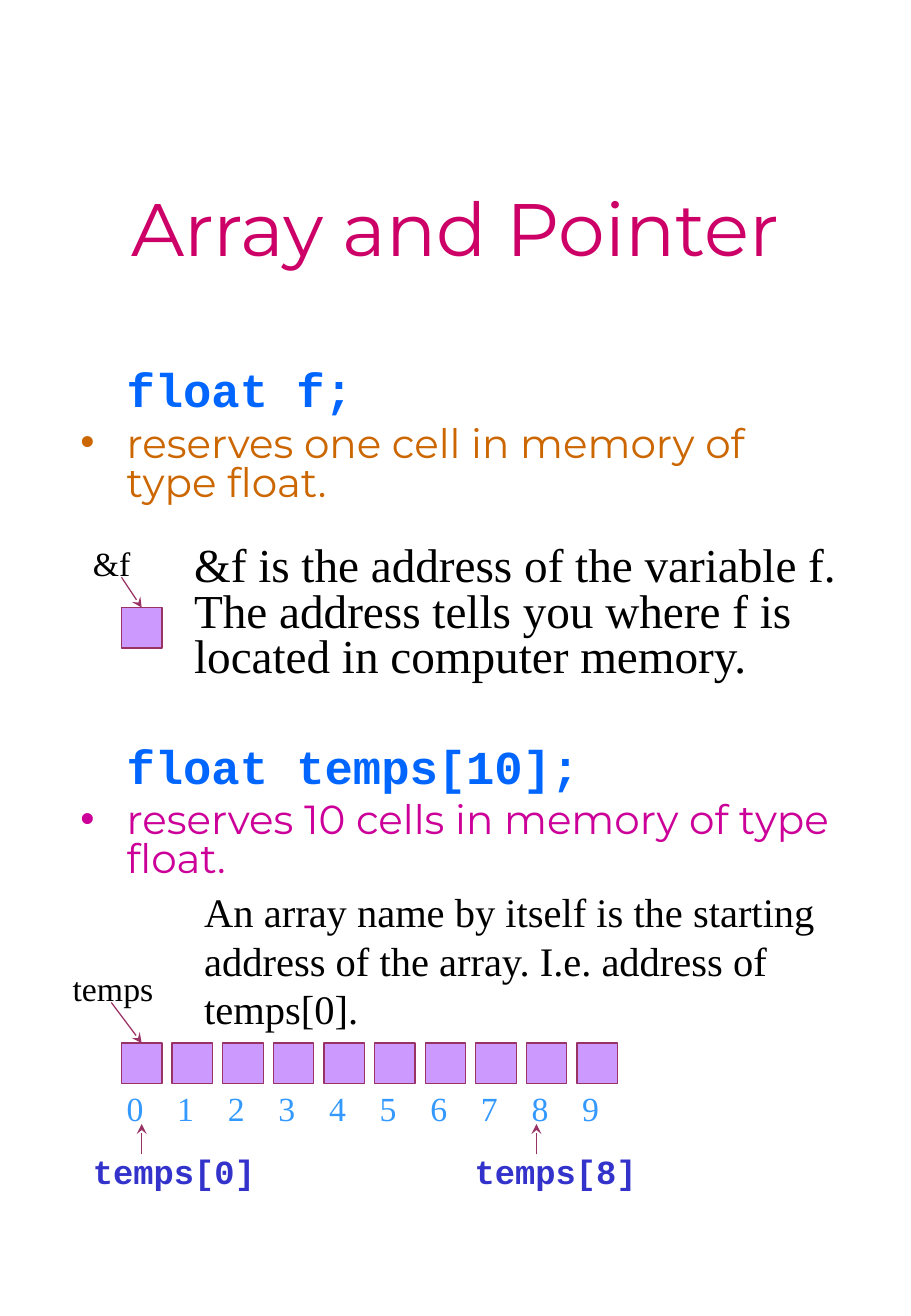
"""Build the slide on arrays and pointers with its memory cell diagrams."""
from lxml.etree import SubElement
from pptx import Presentation
from pptx.dml.color import RGBColor as Rgb
from pptx.enum.shapes import MSO_CONNECTOR as Line, MSO_SHAPE as Kind
from pptx.enum.text import MSO_ANCHOR as Anchor, MSO_AUTO_SIZE as Fit, PP_ALIGN as Align
from pptx.oxml.ns import qn
from pptx.util import Inches, Pt

theme = dict(
    sans="Montserrat", mono="Courier New", serif="Times New Roman",
    title="CC0066", code="0066FF", one="CC6600", ten="CC0099", text="000000",
    cell="CC99FF", edge="993366", index="3399FF", tag="3333CC",
    head=44, large=28, mid=24, small=20)

deck = Presentation()
deck.slide_width, deck.slide_height = Inches(7.5), Inches(10.83)
unit = deck.slide_width // 90
slide = deck.slides.add_slide(deck.slide_layouts[1])
shapes = slide.shapes


def style(para, face, size, color, bold=False):
    for run in para.runs:
        font = run.font
        font.name, font.size, font.bold = theme[face], Pt(theme[size]), bold
        font.color.rgb = Rgb.from_string(theme[color])


def arrow(x, y, end, top, cell=None):
    line = shapes.add_connector(Line.STRAIGHT, *(int(n * unit) for n in (x, y, end, top)))
    line.line.color.rgb = Rgb.from_string(theme["edge"])
    line.line.width = Pt(0.75)
    SubElement(line.line._get_or_add_ln(), qn("a:tailEnd"), type="stealth")
    SubElement(line._element.spPr, qn("a:effectLst"))
    if cell is not None:
        line.end_connect(cell, 0)


title, body = slide.placeholders
for box, top, high in ((title, 11.5, 21.75), (body, 36.1, 78)):
    box.left, box.top = int(6.75 * unit), int(top * unit)
    box.width, box.height = int(76.5 * unit), int(high * unit)
    box.text_frame.auto_size = Fit.NONE

title.text_frame.text = "Array and Pointer"
title.text_frame.vertical_anchor = Anchor.MIDDLE
title.text_frame.paragraphs[0].alignment = Align.CENTER
style(title.text_frame.paragraphs[0], "sans", "head", "title")

items = (
    ("float f;", "code", 0),
    ("reserves one cell in memory of type float.", "one", 6),
    ("float temps[10];", "code", 144),
    ("reserves 10 cells in memory of type float.", "ten", 6))
body.text_frame.text = "\n".join(item[0] for item in items)
for para, (words, color, gap) in zip(body.text_frame.paragraphs, items):
    para.line_spacing, para.space_before = 0.8, Pt(gap)
    props = para._p.get_or_add_pPr()
    props.set("marL", str(Inches(0.38)))
    if color == "code":
        props.set("indent", "0")
        SubElement(props, qn("a:buNone"))
        style(para, "mono", "large", color, True)
    else:
        props.set("indent", str(-Inches(0.38)))
        SubElement(SubElement(props, qn("a:buClr")), qn("a:srgbClr"), val=theme[color])
        SubElement(props, qn("a:buFont"), typeface="Arial")
        SubElement(props, qn("a:buChar"), char="•")
        style(para, "sans", "mid", color)

size, pitch, count = 4, 5, 10
cells = []
for col, row in [(12, 60)] + [(12 + pitch * i, 103) for i in range(count)]:
    cell = shapes.add_shape(Kind.RECTANGLE, col * unit, row * unit, size * unit, size * unit)
    cell.shadow.inherit = False
    cell.fill.solid()
    cell.fill.fore_color.rgb = Rgb.from_string(theme["cell"])
    cell.line.color.rgb = Rgb.from_string(theme["edge"])
    cell.line.width = Pt(0.75)
    cells.append(cell)

arrow(12, 57, 14, 60, cells[0])
arrow(11, 99, 14, 103, cells[1])
for col in (14, 53):
    arrow(col, 114, col, 111)

digits = "".join(f"\t{i}" for i in range(count))
notes = (
    ("&f", 8, 53, 12, 5.25, "serif", "small", "text", 1),
    ("&f is the address of the variable f. The address tells you where f is "
     "located in computer memory.", 18, 53.4, 67, 14.6, "serif", "large", "text", 0.8),
    ("An array name by itself is the starting address of the array. "
     "I.e. address of temps[0].", 19, 87, 65, 15.6, "serif", "mid", "text", 1),
    ("temps", 6, 95, 13, 5.25, "serif", "small", "text", 1),
    (digits, 8, 106.8, 56, 5.25, "serif", "small", "index", 1),
    ("temps[0]", 8, 113, 22, 5.25, "mono", "small", "tag", 1),
    ("temps[8]", 45.7, 113, 22, 5.25, "mono", "small", "tag", 1))
for words, *area, face, points, color, space in notes:
    box = shapes.add_textbox(*(int(n * unit) for n in area))
    frame = box.text_frame
    frame.word_wrap, frame.auto_size = True, Fit.SHAPE_TO_FIT_TEXT
    frame.text = words
    para = frame.paragraphs[0]
    para.line_spacing = space
    if words == digits:
        tabs = SubElement(para._p.get_or_add_pPr(), qn("a:tabLst"))
        for i in range(count):
            stop = int((3.33 + pitch * i) * unit)
            SubElement(tabs, qn("a:tab"), pos=str(stop), algn="l")
    style(para, face, points, color, face == "mono")

deck.save("out.pptx")
